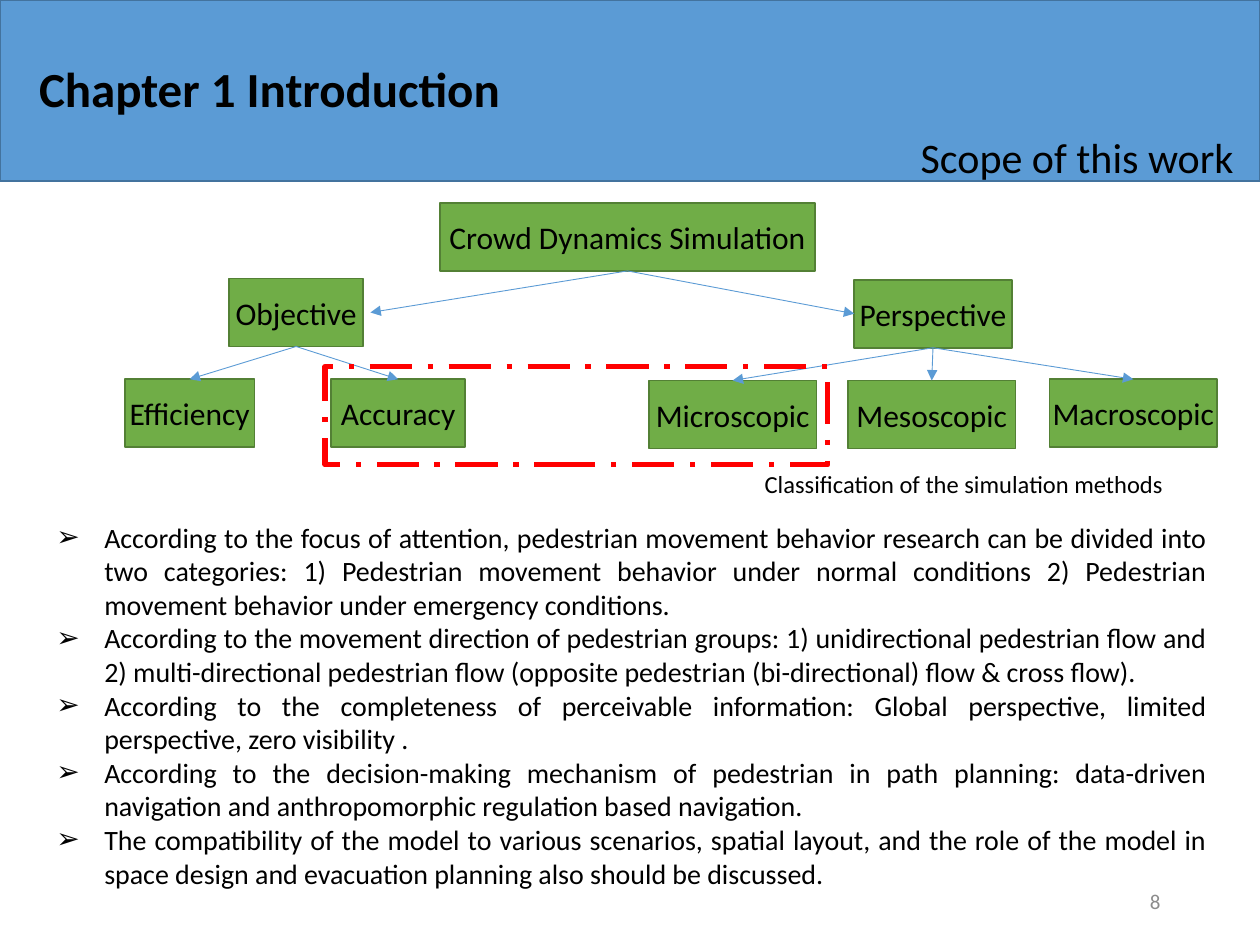
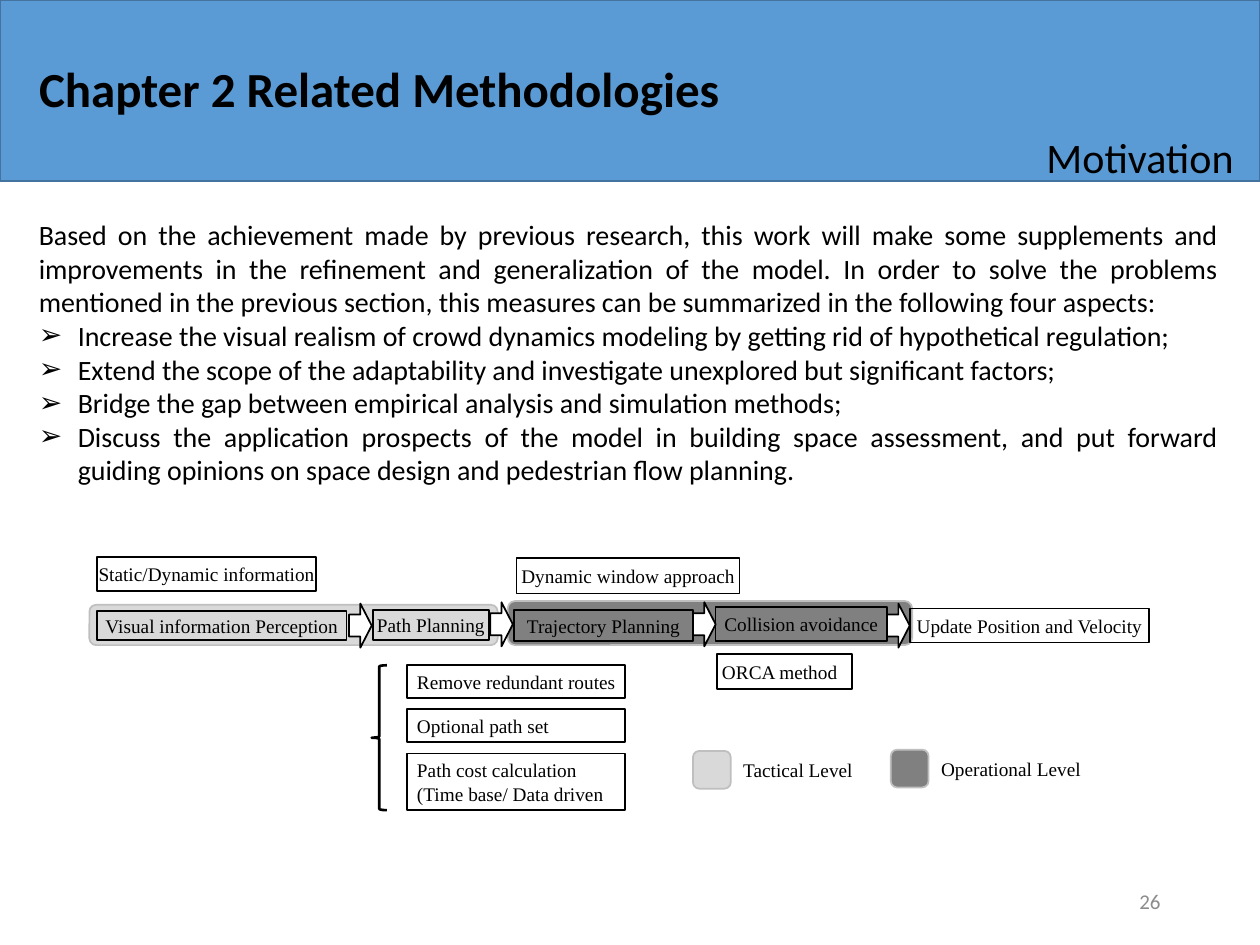
from lxml import etree
from pptx import Presentation
from pptx import util as u
from pptx.dml.color import RGBColor
from pptx.enum import dml, shapes, text
from pptx.oxml.ns import qn

# Shared look; 100 px to the inch
SCALE = 9144
BLUE, NAVY = "5B9BD5", "43739E"
GREEN, MOSS = "70AD47", "538035"
PALE, DARK, EDGE = "D9D9D9", "808080", "BFBFBF"
BLACK, WHITE, RED, GREY = "000000", "FFFFFF", "FF0000", "8C8C8C"
SANS, SERIF = "Calibri", "Times New Roman"
KIND, ALIGN, ANCHOR = shapes.MSO_SHAPE, text.PP_ALIGN, text.MSO_ANCHOR
TOP, LEFT, BOTTOM, RIGHT = range(4)  # connection sites of a box


def px(num):
    return u.Emu(int(num * SCALE))


def color(code):
    return RGBColor.from_string(code)


def bullet(para, hang):
    props = para._p.get_or_add_pPr()
    props.set("marL", str(px(hang)))
    props.set("indent", str(-px(hang)))
    etree.SubElement(props, qn("a:buFont")).set("typeface", SANS)
    etree.SubElement(props, qn("a:buChar")).set("char", "➢")


def write(shape, lines, size=18, font=SANS, ink=BLACK, bold=False,
          align=ALIGN.LEFT, anchor=ANCHOR.TOP, pads=(10, 5, 10, 5), space=None,
          hang=0, plain=0):
    """Fill a shape with paragraphs; those after the first `plain` get bullets.

    The pads are left, top, right and bottom.
    """
    frame = shape.text_frame
    frame.word_wrap = True
    frame.auto_size = text.MSO_AUTO_SIZE.NONE
    frame.vertical_anchor = anchor
    (frame.margin_left, frame.margin_top,
     frame.margin_right, frame.margin_bottom) = map(px, pads)
    for i, line in enumerate([lines] if isinstance(lines, str) else lines):
        para = frame.add_paragraph() if i else frame.paragraphs[0]
        para.alignment = align
        if space:
            para.line_spacing = space
        if hang and i >= plain:
            bullet(para, hang)
        run = para.add_run()
        run.text = line
        run.font.size, run.font.name, run.font.bold = u.Pt(size), font, bold
        run.font.color.rgb = color(ink)


def label(slide, area, lines, **form):
    box = slide.shapes.add_textbox(*map(px, area))
    write(box, lines, **form)
    return box


def block(slide, area, kind=KIND.RECTANGLE, fill=None, line=BLACK, width=1):
    shape = slide.shapes.add_shape(kind, *map(px, area))
    shape.shadow.inherit = False
    if fill:
        shape.fill.solid()
        shape.fill.fore_color.rgb = color(fill)
    else:
        shape.fill.background()
    shape.line.color.rgb = color(line)
    shape.line.width = u.Pt(width)
    return shape


def node(slide, area, name):
    shape = block(slide, area, fill=GREEN, line=MOSS)
    write(shape, name, align=ALIGN.CENTER, anchor=ANCHOR.MIDDLE,
          pads=(0, 0, 0, 0))
    return shape


def step(slide, area, lines, align=ALIGN.CENTER, pad=0):
    write(block(slide, area), lines, size=11, font=SERIF, align=align,
          anchor=ANCHOR.MIDDLE, pads=(pad, 0, 0, 0))


def link(slide, start, end, site=TOP, gap=0):
    line = slide.shapes.add_connector(shapes.MSO_CONNECTOR.STRAIGHT, 0, 0, 0, 0)
    line.begin_connect(start, BOTTOM)
    line.end_connect(end, site)
    line.end_x += px(gap)
    line.line.color.rgb = color(BLUE)
    line.line.width = u.Pt(0.5)
    tail = etree.SubElement(line.line._get_or_add_ln(), qn("a:tailEnd"))
    tail.set("type", "triangle")
    etree.SubElement(line._element.spPr, qn("a:effectLst"))


def page(deck, head, sub, num):
    """Add a slide with its band, title, subtitle and page number."""
    slide = deck.slides.add_slide(deck.slide_layouts[5])
    band = block(slide, (0, 0, 1000, 144), fill=BLUE, line=NAVY)
    title = slide.shapes.title
    band._element.addnext(title._element)
    title.left, title.top, title.width, title.height = map(px, (21, 0, 956, 145))
    write(title, head, size=28, bold=True, anchor=ANCHOR.MIDDLE, space=0.9)
    label(slide, (33, 104, 956, 64), sub, size=24, align=ALIGN.RIGHT, space=0.9)
    label(slide, (706, 695, 225, 40), num, size=12, ink=GREY,
          align=ALIGN.RIGHT, anchor=ANCHOR.MIDDLE)
    return slide


def scope(deck):
    slide = page(deck, "Chapter 1 Introduction", "Scope of this work", "8")

    # Tree of simulation methods
    root = node(slide, (349, 161, 298, 54), "Crowd Dynamics Simulation")
    goal = node(slide, (182, 221, 106, 54), "Objective")
    view = node(slide, (678, 222, 125, 54), "Perspective")
    link(slide, root, goal, RIGHT, gap=6)
    link(slide, root, view, LEFT)
    leaves = [
        (goal, (99, 301, 103, 54), "Efficiency"),
        (goal, (263, 301, 106, 54), "Accuracy"),
        (view, (515, 302, 133, 54), "Microscopic"),
        (view, (673, 302, 133, 54), "Mesoscopic"),
        (view, (833, 301, 133, 54), "Macroscopic"),
    ]
    for parent, area, name in leaves:
        link(slide, parent, node(slide, area, name))

    # Focus frame and caption
    focus = block(slide, (258, 291, 399, 78), line=RED, width=3)
    focus.line.dash_style = dml.MSO_LINE.LONG_DASH_DOT
    label(slide, (597, 367, 340, 34), "Classification of the simulation methods",
          size=14)

    # Ways to classify
    label(slide, (35, 408, 933, 306), [
        "According to the focus of attention, pedestrian movement behavior "
        "research can be divided into two categories: 1) Pedestrian movement "
        "behavior under normal conditions 2) Pedestrian movement behavior "
        "under emergency conditions.",
        "According to the movement direction of pedestrian groups: "
        "1) unidirectional pedestrian flow and 2) multi-directional pedestrian "
        "flow (opposite pedestrian (bi-directional) flow & cross flow).",
        "According to the completeness of perceivable information: Global "
        "perspective, limited perspective, zero visibility .",
        "According to the decision-making mechanism of pedestrian in path "
        "planning: data-driven navigation and anthropomorphic regulation "
        "based navigation.",
        "The compatibility of the model to various scenarios, spatial layout, "
        "and the role of the model in space design and evacuation planning "
        "also should be discussed.",
    ], size=16, align=ALIGN.JUSTIFY, hang=38)


def motive(deck):
    slide = page(deck, "Chapter 2 Related Methodologies", "Motivation", "26")

    # Aims
    label(slide, (21, 168, 956, 226), [
        "Based on the achievement made by previous research, this work will "
        "make some supplements and improvements in the refinement and "
        "generalization of the model. In order to solve the problems mentioned "
        "in the previous section, this measures can be summarized in the "
        "following four aspects:",
        "Increase the visual realism of crowd dynamics modeling by getting rid "
        "of hypothetical regulation;",
        "Extend the scope of the adaptability and investigate unexplored but "
        "significant factors;",
        "Bridge the gap between empirical analysis and simulation methods;",
        "Discuss the application prospects of the model in building space "
        "assessment, and put forward guiding opinions on space design and "
        "pedestrian flow planning.",
    ], size=16, align=ALIGN.JUSTIFY, hang=31, plain=1)

    # Level bands and their legend
    levels = [
        ("Tactical Level", PALE, (71, 480, 324, 32), 550, 596),
        ("Operational Level", DARK, (403, 477, 321, 35), 707, 595),
    ]
    for name, fill, band, left, top in levels:
        for area in (band, (left, top, 30, 30)):
            block(slide, area, KIND.ROUNDED_RECTANGLE, fill, EDGE)
        label(slide, (left + 30, top + 1, 189, 47), name, size=11, font=SERIF)

    # Main chain with inputs above
    steps = [
        ((77, 485, 198, 23), "Visual information Perception"),
        ((296, 484, 92, 24), "Path Planning"),
        ((408, 484, 142, 25), "Trajectory Planning"),
        ((568, 482, 136, 27), "Collision avoidance"),
        ((722, 483, 190, 27), "Update Position and Velocity"),
        ((77, 442, 174, 27), "Static/Dynamic information"),
        ((410, 443, 177, 28), "Dynamic window approach"),
    ]
    for area, name in steps:
        step(slide, area, name)
    for left, top in ((277, 479), (389, 478), (550, 478), (704, 479)):
        block(slide, (left, top, 18, 35), KIND.RIGHT_ARROW, WHITE)

    # Methods below the chain
    step(slide, (569, 519, 107, 28), "ORCA method", ALIGN.LEFT, 4)
    block(slide, (295, 528, 12, 115), KIND.LEFT_BRACE, width=1.5)
    routes = [
        (26, "Remove redundant routes"),
        (26, "Optional path set"),
        (45, ["Path cost calculation", "(Time base/ Data driven"]),
    ]
    for i, (high, lines) in enumerate(routes):
        step(slide, (323, 528 + 35 * i, 173, high), lines, ALIGN.LEFT, 8)


def main():
    deck = Presentation()
    deck.slide_width, deck.slide_height = px(1000), px(750)
    scope(deck)
    motive(deck)
    deck.save("out.pptx")


if __name__ == "__main__":
    main()
